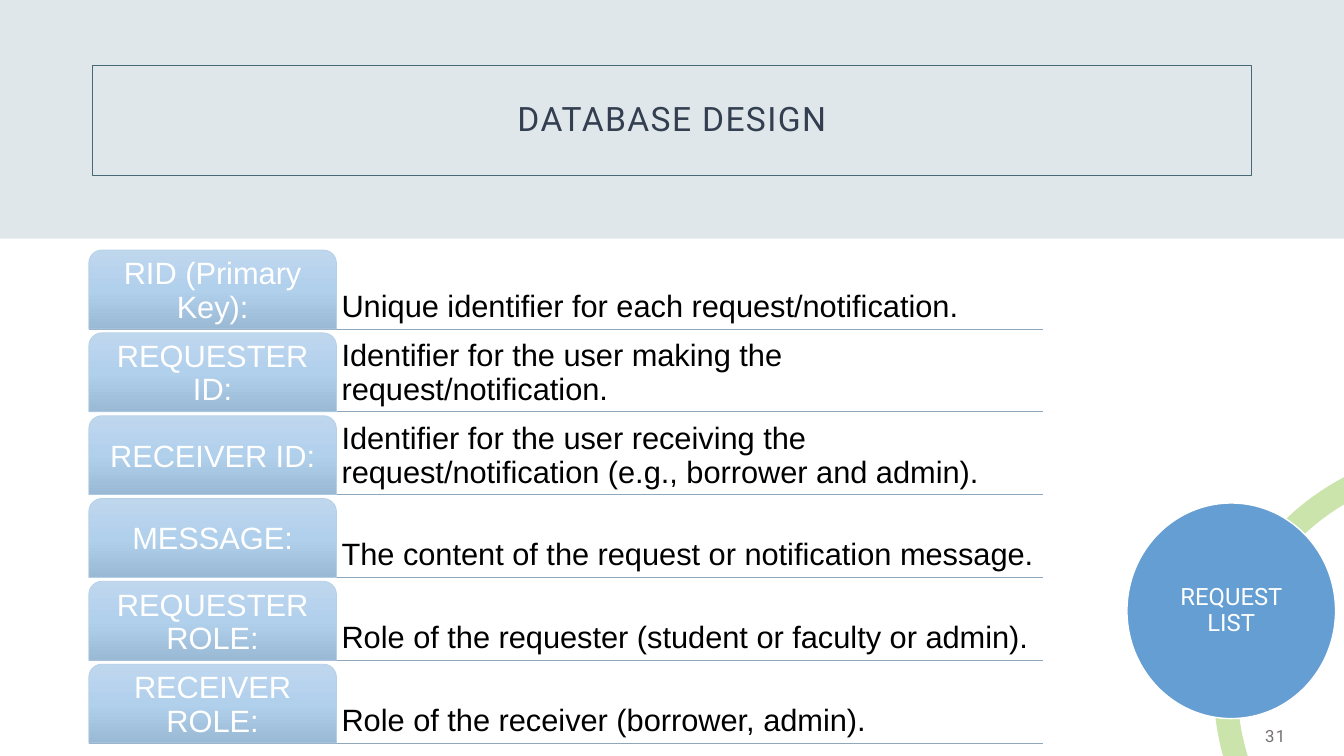
"""Build the database design slide for the request list table."""
from copy import deepcopy

from lxml import etree
from pptx import Presentation
from pptx.dml.color import RGBColor
from pptx.enum.shapes import MSO_CONNECTOR, MSO_SHAPE
from pptx.enum.text import MSO_ANCHOR, PP_ALIGN
from pptx.oxml.ns import qn
from pptx.util import Pt

TITLE = "DATABASE DESIGN"
TOPIC = "REQUEST LIST"
PAGE = "31"
FIELDS = [
    ("RID (Primary Key):", "Unique identifier for each request/notification."),
    ("REQUESTER ID:", "Identifier for the user making the request/notification."),
    ("RECEIVER ID:", "Identifier for the user receiving the request/notification "
                     "(e.g., borrower and admin)."),
    ("MESSAGE:", "The content of the request or notification message."),
    ("REQUESTER ROLE:", "Role of the requester (student or faculty or admin)."),
    ("RECEIVER ROLE:", "Role of the receiver (borrower, admin)."),
]
ARCS = [(861.8, 319.7, 121.23, 167.58), (866.9, 306.7, 70.11, 118.66)]

WHITE = RGBColor(0xFF, 0xFF, 0xFF)
BLACK = RGBColor(0, 0, 0)
BAND = RGBColor(0xD7, 0xE2, 0xE7)
FRAME = RGBColor(0x47, 0x69, 0x77)
NAVY = RGBColor(0x33, 0x3F, 0x50)
GREY = RGBColor(0x76, 0x71, 0x71)
GREEN = RGBColor(0xCA, 0xE4, 0xAC)
BLUE = RGBColor(0x64, 0x9E, 0xD2)
RULE = RGBColor(0x90, 0xA7, 0xBB)
EDGE = RGBColor(0xB4, 0xD0, 0xE9)
SHADES = [(0, RGBColor(0xBF, 0xD7, 0xED)), (0.5, RGBColor(0xB1, 0xD0, 0xEC)),
          (1, RGBColor(0x9A, 0xB9, 0xD5))]

RECT, OVAL, ARC = MSO_SHAPE.RECTANGLE, MSO_SHAPE.OVAL, MSO_SHAPE.BLOCK_ARC
TAB = MSO_SHAPE.ROUND_2_SAME_RECTANGLE
STRAIGHT = MSO_CONNECTOR.STRAIGHT
LEFT, MID, RIGHT = PP_ALIGN.LEFT, PP_ALIGN.CENTER, PP_ALIGN.RIGHT
CENTER, BOTTOM = MSO_ANCHOR.MIDDLE, MSO_ANCHOR.BOTTOM

WIDE, HIGH = 960, 540
ROW_X, ROW_Y, ROW_H, STEP = 63.4, 178.6, 56.4, 59.16
TAB_W, NOTE_W = 177, 504.5
ARC_D = 367.9

deck = Presentation()
deck.slide_width, deck.slide_height = Pt(WIDE), Pt(HIGH)
slide = deck.slides.add_slide(deck.slide_layouts[6])
shapes = slide.shapes


def add(kind, box, fill=None, line=None, width=0.5):
    """Add a preset shape with a plain fill and outline."""
    shape = shapes.add_shape(kind, *map(Pt, box))
    shape.shadow.inherit = False
    if fill is None:
        shape.fill.background()
    else:
        shape.fill.solid()
        shape.fill.fore_color.rgb = fill
    if line is None:
        shape.line.fill.background()
    else:
        shape.line.color.rgb = line
        shape.line.width = Pt(width)
    return shape


def write(shape, text, font, size, color, align=MID, anchor=CENTER,
          inset=3.6, track=0, lead=0.9):
    """Put one styled paragraph into a shape."""
    frame = shape.text_frame
    frame.text = text
    frame.word_wrap = True
    frame.vertical_anchor = anchor
    frame.margin_left = frame.margin_right = Pt(inset)
    frame.margin_top = frame.margin_bottom = Pt(min(inset, 3.6))
    para = frame.paragraphs[0]
    para.alignment, para.line_spacing = align, lead
    run = para.runs[0]
    run.font.name, run.font.size = font, Pt(size)
    run.font.color.rgb = color
    if track:
        run.font._element.set("spc", str(track * 100))


def shade(shape):
    """Fill a shape with the vertical three-stop gradient."""
    shape.fill.gradient()
    shape.fill.gradient_angle = 270
    stops = shape._element.spPr.find(".//" + qn("a:gsLst"))
    stops.insert(1, deepcopy(stops[0]))
    for stop, (place, color) in zip(shape.fill.gradient_stops, SHADES):
        stop.position = place
        stop.color.rgb = color


band = add(RECT, (0, 0, WIDE, 170.6), BAND)
tint = band._element.spPr.find(".//" + qn("a:srgbClr"))
etree.SubElement(tint, qn("a:alpha")).set("val", "80000")

head = add(RECT, (66, 46.8, 828, 78.5), line=FRAME, width=0.75)
write(head, TITLE, "Roboto", 24, NAVY, inset=7.2, track=1)

page = shapes.add_textbox(Pt(709.2), Pt(511.2), Pt(216), Pt(28.8))
write(page, PAGE, "Roboto", 12, GREY, RIGHT, inset=7.2, track=1, lead=1)

for x, y, start, end in ARCS:
    arc = add(ARC, (x, y, ARC_D, ARC_D), GREEN)
    for i, value in enumerate((start, end, 0.046)):
        arc.adjustments[i] = value

topic = add(OVAL, (805, 359.3, 149, 154), BLUE, WHITE, 1)
write(topic, TOPIC, "Roboto", 17, WHITE, inset=1.5)

for i, (name, note) in enumerate(FIELDS):
    top = ROW_Y + i * STEP
    base = top + ROW_H
    rule = shapes.add_connector(STRAIGHT, Pt(ROW_X), Pt(base),
                                Pt(ROW_X + TAB_W + NOTE_W), Pt(base))
    rule.line.color.rgb = RULE
    rule.line.width = Pt(0.5)
    etree.SubElement(rule._element.spPr, qn("a:effectLst"))

    text = shapes.add_textbox(Pt(ROW_X + TAB_W), Pt(top), Pt(NOTE_W), Pt(ROW_H))
    write(text, note, "Arial", 22, BLACK, LEFT, BOTTOM)

    label = add(TAB, (ROW_X, top, TAB_W, ROW_H), line=EDGE)
    shade(label)
    write(label, name, "Arial", 22, WHITE)

deck.save("out.pptx")
